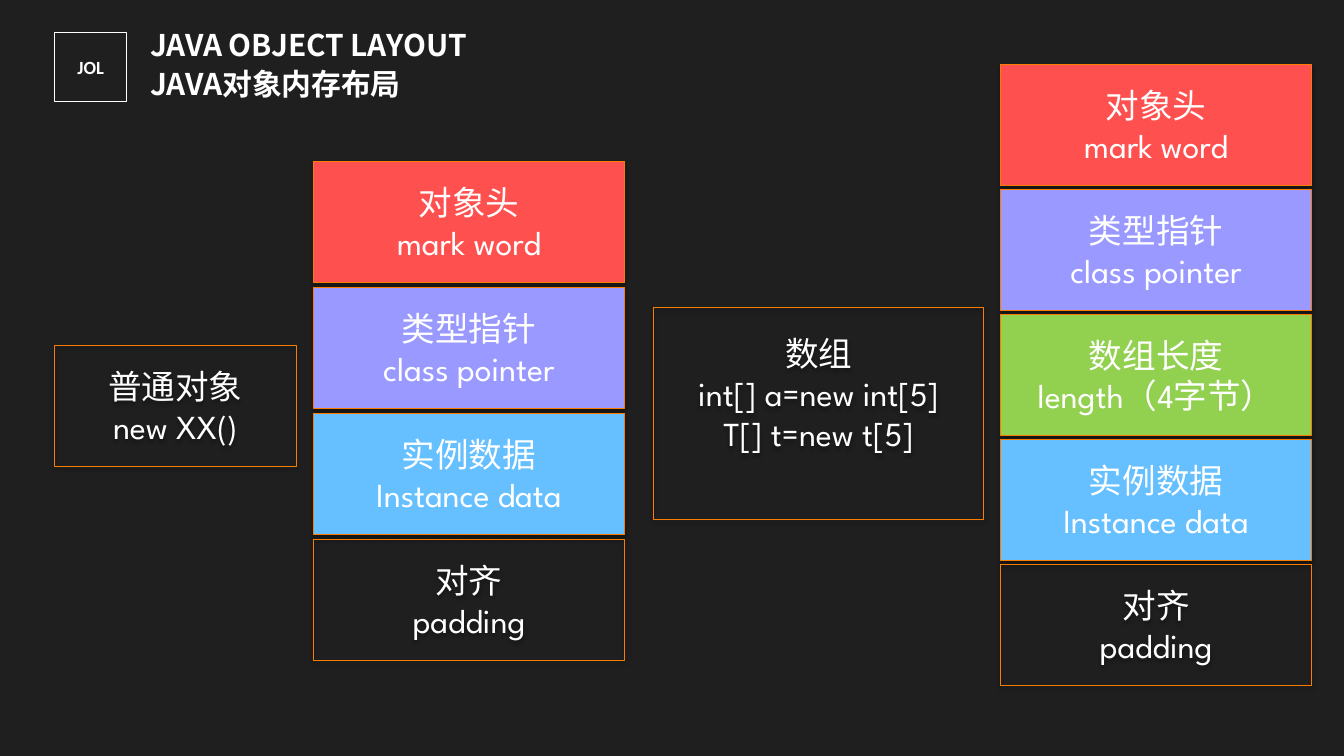
import pptx
import pptx.util
import pptx.dml.color
import pptx.enum.shapes
import pptx.enum.text
import pptx.oxml
import pptx.oxml.ns

Inches = pptx.util.Inches
Pt = pptx.util.Pt
RGBColor = pptx.dml.color.RGBColor
Anchor = pptx.enum.text.MSO_ANCHOR
Align = pptx.enum.text.PP_ALIGN
qn = pptx.oxml.ns.qn

DARK = RGBColor(0x1F, 0x1F, 0x1F)
WHITE = RGBColor(0xFF, 0xFF, 0xFF)
ORANGE = RGBColor(0xFA, 0x7C, 0x00)
RED = RGBColor(0xFF, 0x50, 0x50)
VIOLET = RGBColor(0x99, 0x99, 0xFF)
GREEN = RGBColor(0x92, 0xD0, 0x50)
BLUE = RGBColor(0x66, 0xC0, 0xFF)

SHADOW = (
    '<a:outerShdw %s blurRad="%d" dist="%d" dir="5400000" rotWithShape="0">'
    '<a:srgbClr val="000000"><a:alpha val="35000"/></a:srgbClr></a:outerShdw>'
    % (pptx.oxml.ns.nsdecls("a"), Pt(3.1), Pt(1.8))
)

# Fields of an object in memory: colour and label
HEAD = (RED, "对象头\nmark word")
CLASS = (VIOLET, "类型指针\nclass pointer")
LENGTH = (GREEN, "数组长度\nlength（4字节）")
DATA = (BLUE, "实例数据\nInstance data")
PAD = (None, "对齐\npadding")


def write(frame, text, size=24, font="League Spartan", bold=False,
          align=Align.CENTER, space=1.0, inset=(0.1, 0.05, 0.1, 0.05)):
    """Fill a text frame, one paragraph per line of text."""
    frame.word_wrap = True
    frame.vertical_anchor = Anchor.MIDDLE
    (frame.margin_left, frame.margin_top,
     frame.margin_right, frame.margin_bottom) = map(Inches, inset)
    for i, line in enumerate(text.split("\n")):
        para = frame.add_paragraph() if i else frame.paragraphs[0]
        para.alignment = align
        para.line_spacing = space
        run = para.add_run()
        run.text = line
        run.font.size = Pt(size)
        run.font.name = font
        run.font.bold = bold
        run.font.color.rgb = WHITE
        east = pptx.oxml.parse_xml(
            '<a:ea %s typeface="Noto Sans CJK SC"/>' % pptx.oxml.ns.nsdecls("a"))
        run.font._element.find(qn("a:latin")).addnext(east)


class Board:
    """The current slide and the style of its elements."""

    wide = (0.13, 0.07, 0.13, 0.07)
    line = Pt(0.75)

    def __init__(self, deck):
        self.slide = deck.slides.add_slide(deck.slide_layouts[6])
        back = self.slide.background.fill
        back.solid()
        back.fore_color.rgb = DARK

    def title(self, text, *spot):
        box = self.slide.shapes.add_textbox(*map(Inches, spot))
        write(box.text_frame, text, size=21.3, font="Noto Sans CJK SC",
              bold=True, align=Align.LEFT, space=1.1, inset=self.wide)

    def box(self, text, *spot, fill=None, edge=ORANGE, shade=True, **style):
        rect = self.slide.shapes.add_shape(
            pptx.enum.shapes.MSO_SHAPE.RECTANGLE, *map(Inches, spot))
        if fill is None:
            rect.fill.background()
        else:
            rect.fill.solid()
            rect.fill.fore_color.rgb = fill
        rect.line.color.rgb = edge
        rect.line.width = self.line
        rect.shadow.inherit = False
        if shade:
            effect = rect._element.spPr.find(qn("a:effectLst"))
            effect.append(pptx.oxml.parse_xml(SHADOW))
        write(rect.text_frame, text, **style)

    def stack(self, parts, left, top, step):
        for i, (fill, text) in enumerate(parts):
            self.box(text, left, top + i * step, 3.09, 1.2, fill=fill)


def main():
    deck = pptx.Presentation()
    deck.slide_width = Inches(13.34)
    deck.slide_height = Inches(7.5)
    board = Board(deck)

    # Heading
    board.title("JAVA OBJECT LAYOUT\nJAVA对象内存布局", 1.36, 0.16, 4.74, 0.92)
    board.box("JOL", 0.54, 0.32, 0.72, 0.69, edge=WHITE, shade=False,
              size=13.3, font="Calibri", bold=True, inset=board.wide)

    # Array layout
    board.stack([HEAD, CLASS, LENGTH, DATA, PAD], 9.93, 0.64, 1.24)

    # Plain object layout
    board.stack([HEAD, CLASS, DATA, PAD], 3.11, 1.6, 1.25)

    # Labels beside the stacks; the array text sits above the middle
    board.box("普通对象\nnew XX()", 0.54, 3.43, 2.4, 1.2)
    board.box("数组\nint[] a=new int[5]\nT[] t=new t[5]", 6.49, 3.05, 3.27, 2.1,
              inset=(0.1, 0.05, 0.1, 0.45))

    deck.save("out.pptx")


if __name__ == "__main__":
    main()
